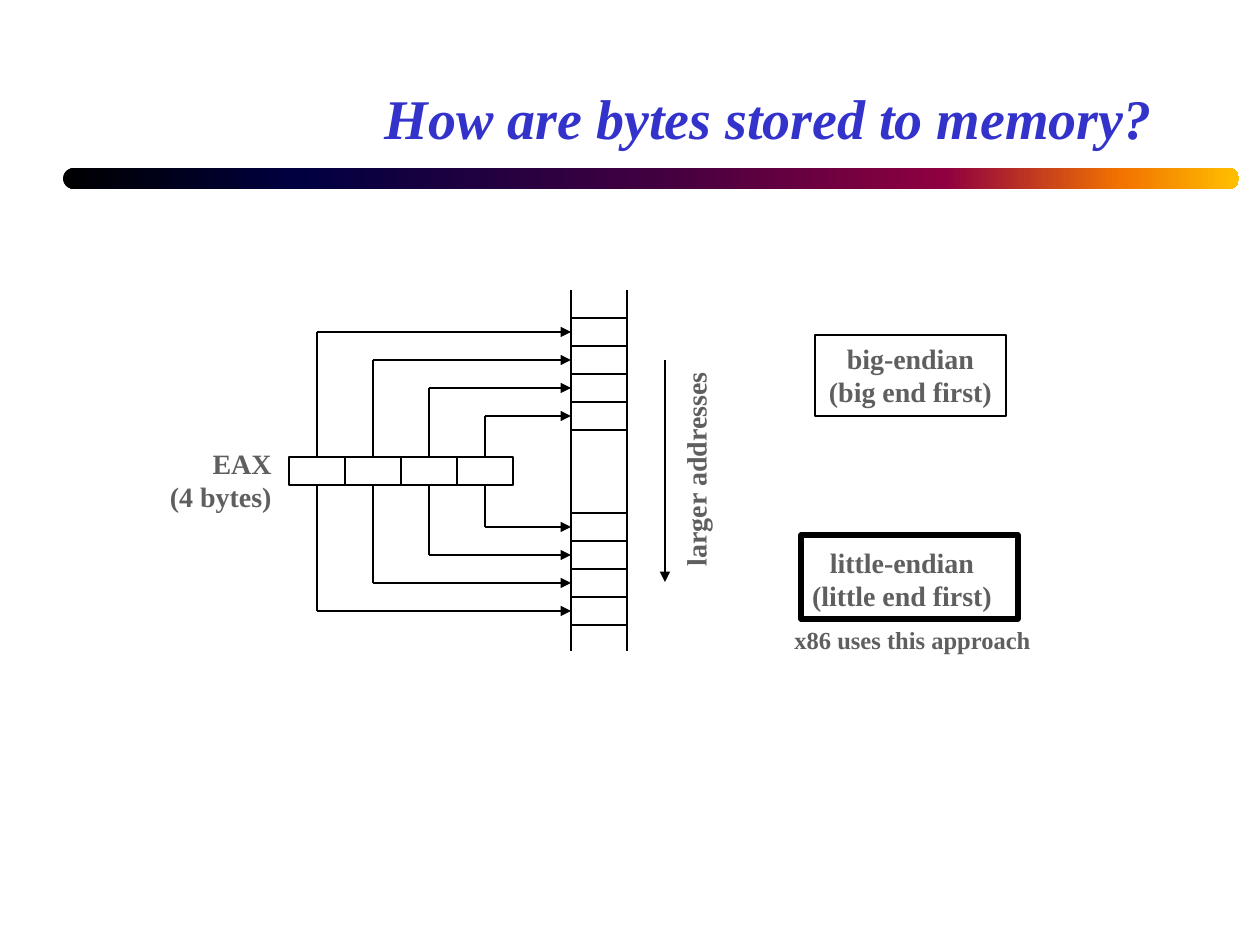
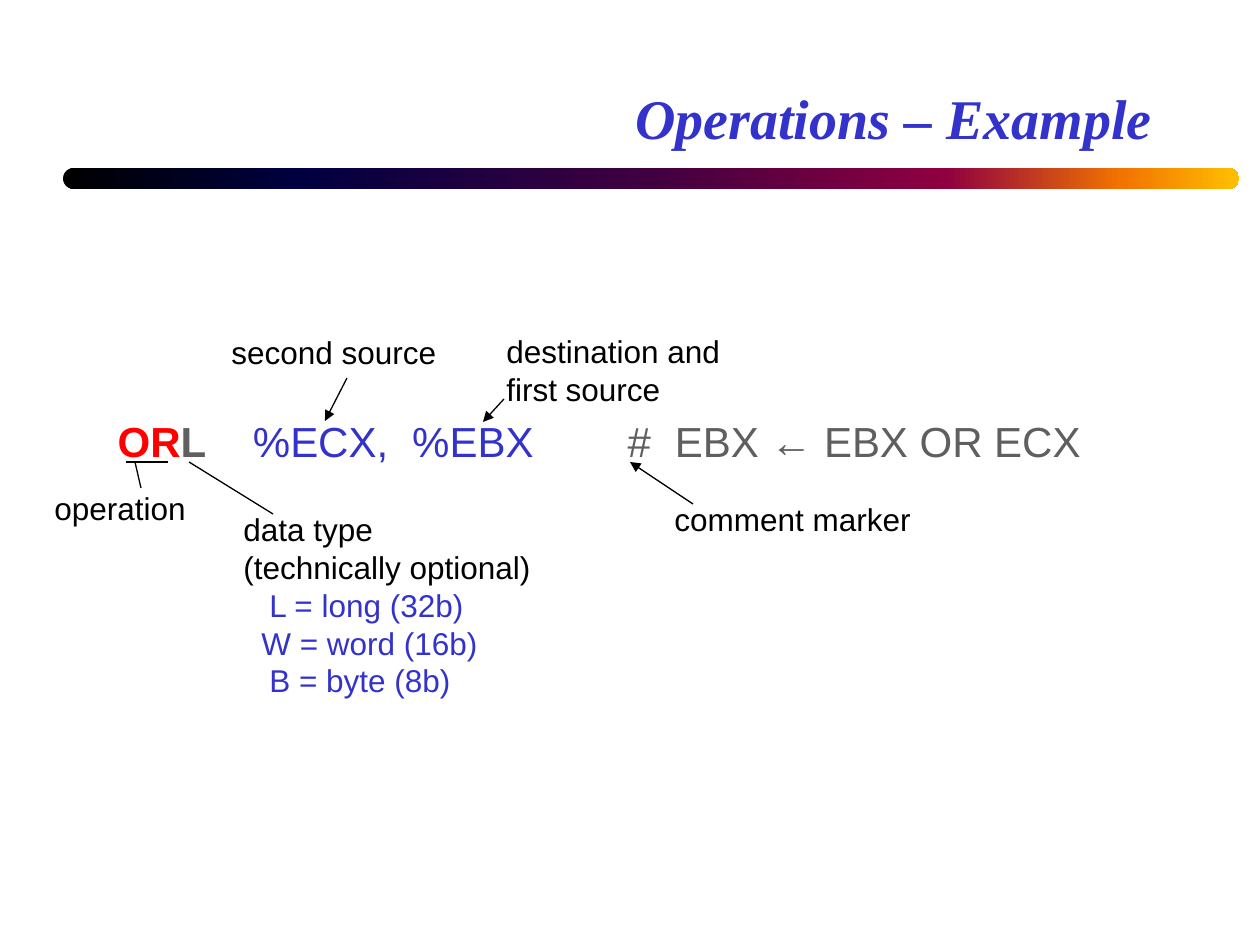
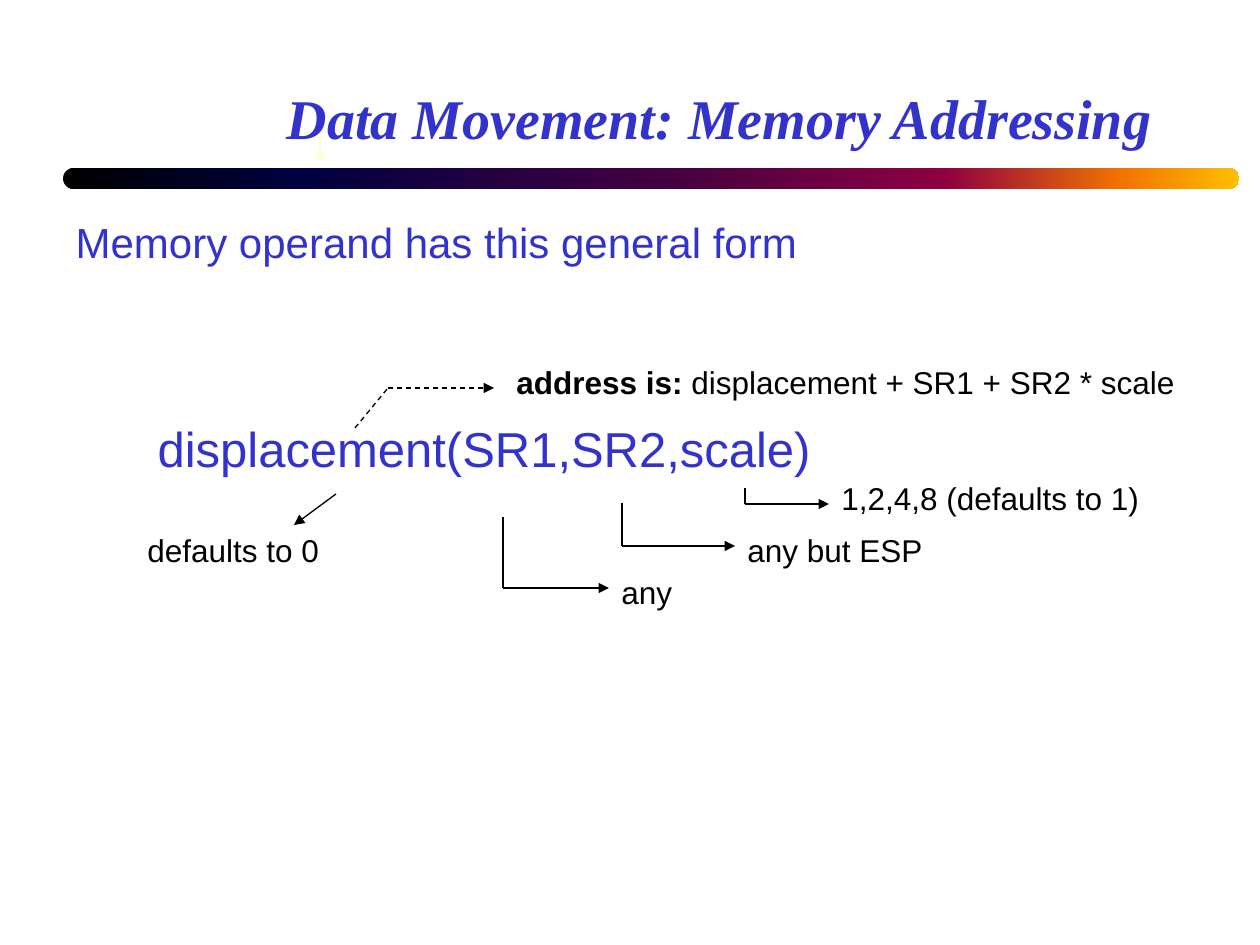
import itertools
import lxml.etree
import pptx
import pptx.dml.color
import pptx.enum.dml
import pptx.enum.shapes
import pptx.enum.text
import pptx.oxml.ns
import pptx.util

SCALE = 914400 / 126
qn = pptx.oxml.ns.qn
RGB = pptx.dml.color.RGBColor.from_string
ALIGN = pptx.enum.text.PP_ALIGN
AUTO = pptx.enum.text.MSO_AUTO_SIZE
SHAPE = pptx.enum.shapes.MSO_SHAPE


class Theme:
    blue, grey, red, black, cream = "3333CC", "5F5F5F", "FF0000", "000000", "FFFFCC"
    band = [(0, "000000"), (20, "000040"), (50, "400040"),
            (75, "8F0040"), (90, "F27300"), (100, "FFBF00")]
    sans, serif = "Arial", "Times New Roman"
    title, formula, body, label, diagram, note = 32, 28, 24, 18, 16, 14
    thin, thick = 0.75, 3


def write(s, paras, box, sp=None, wrap=False, align=ALIGN.LEFT, indents=(), spaces=(), **fmt):
    box = [round(v * SCALE) for v in box]
    placed = sp is not None
    sp = sp or s.shapes.add_textbox(*box)
    sp.left, sp.top, sp.width, sp.height = box
    tf = sp.text_frame
    tf.word_wrap = placed or wrap
    tf.auto_size = AUTO.NONE if placed else AUTO.SHAPE_TO_FIT_TEXT
    for i, para in enumerate(paras):
        p = tf.paragraphs[0] if i == 0 else tf.add_paragraph()
        p.alignment = align
        p.space_before = pptx.util.Pt(spaces[i] if spaces else 0)
        pPr = p._p.get_or_add_pPr()
        pPr.set("marL", str(round(indents[i] * SCALE) if indents else 0))
        pPr.set("indent", "0")
        lxml.etree.SubElement(pPr, qn("a:buNone"))
        for text, extra in [(para, {})] if isinstance(para, str) else para:
            look = {"font": Theme.sans, "size": Theme.label, "color": Theme.black,
                    "bold": False, "italic": False, "spacing": 0, **fmt, **extra}
            r = p.add_run()
            r.text = text
            r.font.name = look["font"]
            r.font.size = pptx.util.Pt(look["size"])
            r.font.bold, r.font.italic = look["bold"], look["italic"]
            r.font.color.rgb = RGB(look["color"])
            if look["spacing"]:
                r._r.get_or_add_rPr().set("spc", str(look["spacing"] * 100))
    return sp


def line(s, points, arrow=True, color=Theme.black, dash=False):
    for start, end in itertools.pairwise(points):
        c = s.shapes.add_connector(pptx.enum.shapes.MSO_CONNECTOR.STRAIGHT,
                                   *[round(v * SCALE) for v in (*start, *end)])
        c.line.width = pptx.util.Pt(Theme.thin)
        c.line.color.rgb = RGB(color)
        if dash:
            c.line.dash_style = pptx.enum.dml.MSO_LINE.DASH
        if arrow and end == points[-1]:
            lxml.etree.SubElement(c.element.spPr.find(qn("a:ln")), qn("a:tailEnd"), type="triangle")
        lxml.etree.SubElement(c.element.spPr, qn("a:effectLst"))


prs = pptx.Presentation()
prs.slide_width, prs.slide_height = round(1260 * SCALE), round(945 * SCALE)

slides = []
for title, layout in [("How are bytes stored to memory?", 5),
                      ("Operations – Example", 1),
                      ("Data Movement: Memory Addressing", 1)]:
    s = prs.slides.add_slide(prs.slide_layouts[layout])
    sp = write(s, [title], (94, 31, 1071, 126), sp=s.shapes.title, align=ALIGN.RIGHT,
               font=Theme.serif, size=Theme.title, color=Theme.blue, bold=True, italic=True)
    sp.text_frame.vertical_anchor = pptx.enum.text.MSO_ANCHOR.BOTTOM
    slides.append(s)
memory, operations, addressing = slides

band = memory.shapes.add_shape(SHAPE.ROUNDED_RECTANGLE,
                               *[round(v * SCALE) for v in (63, 168, 1176, 21)])
band.adjustments[0] = 0.5
band.shadow.inherit = False
band.line.fill.background()
band.fill.gradient()
band.fill.gradient_angle = 0
stops = band.element.spPr.find(".//" + qn("a:gsLst"))
stops.clear()
for pos, color in Theme.band:
    gs = lxml.etree.SubElement(stops, qn("a:gs"), pos=str(pos * 1000))
    lxml.etree.SubElement(gs, qn("a:srgbClr"), val=color)
prs.slide_master.element.cSld.spTree.insert(2, band.element)

s = memory
cell_w, cell_h = 56, 28
eax_x, eax_y, mem_x = 289, 457, 571
big_y, little_y = 318, 513
frames = [((801, 535, 217, 84), Theme.thick)]
for i in range(4):
    frames += [((x, y, cell_w, cell_h), Theme.thin) for x, y in
               [(eax_x + i * cell_w, eax_y), (mem_x, big_y + i * cell_h),
                (mem_x, little_y + i * cell_h)]]
for box, width in frames:
    sp = s.shapes.add_shape(SHAPE.RECTANGLE, *[round(v * SCALE) for v in box])
    sp.shadow.inherit = False
    sp.fill.background()
    sp.line.color.rgb = RGB(Theme.black)
    sp.line.width = pptx.util.Pt(width)

for x in (mem_x, mem_x + cell_w):
    line(s, [(x, 290), (x, 651)], arrow=False)
for i in range(4):
    x = eax_x + i * cell_w + cell_w // 2
    big = big_y + i * cell_h + cell_h // 2
    little = little_y + (3 - i) * cell_h + cell_h // 2
    line(s, [(x, eax_y), (x, big), (mem_x, big)])
    line(s, [(x, eax_y + cell_h), (x, little), (mem_x, little)])
line(s, [(665, 360), (665, 582)])

diagram = {"font": Theme.serif, "size": Theme.diagram, "color": Theme.grey, "bold": True}
write(s, ["EAX", "(4 bytes)"], (155, 440, 129, 81), align=ALIGN.RIGHT, **diagram)
write(s, ["larger addresses"], (585, 444, 222, 47), **diagram).rotation = 270
sp = write(s, ["big-endian", "(big end first)"], (815, 335, 191, 81), align=ALIGN.CENTER, **diagram)
sp.line.color.rgb = RGB(Theme.black)
sp.line.width = pptx.util.Pt(Theme.thin)
write(s, ["little-endian", "(little end first)"], (798, 539, 208, 81), align=ALIGN.CENTER, **diagram)
write(s, ["x86 uses this approach"], (782, 619, 391, 43), wrap=True,
      **{**diagram, "size": Theme.note})

s = operations
grey = {"color": Theme.grey}
narrow, medium, wide = [(" ", {"spacing": pts}) for pts in (7, 20, 47)]
write(s, [[("OR", {"color": Theme.red, "bold": True}), ("L", {**grey, "bold": True}), medium,
           ("%ECX,", {}), narrow, ("%EBX", {}), wide,
           ("#", grey), narrow, ("EBX ← EBX OR ECX", grey)]],
      (105, 409, 1134, 105), sp=s.placeholders[1], spaces=[2.4],
      size=Theme.body, color=Theme.blue)
for start, end in [((504, 399), (483, 422)), ((347, 378), (325, 421)), ((693, 504), (630, 462))]:
    line(s, [start, end])
for start, end in [((126, 462), (168, 462)), ((273, 514), (189, 462)), ((141, 488), (135, 462))]:
    line(s, [start, end], arrow=False)
write(s, ["destination and", "first source"], (494, 326, 239, 89))
write(s, ["second source"], (219, 327, 232, 50))
blue = {"color": Theme.blue}
write(s, ["data type", "(technically optional)", [("L = long (32b)", blue)],
          [("W = word (16b)", blue)], [("B = byte (8b)", blue)]],
      (231, 504, 315, 204), indents=(0, 0, 26, 18, 26))
write(s, ["comment marker"], (662, 494, 265, 50))
write(s, ["operation"], (42, 483, 157, 50))

s = addressing
line(s, [(397, 123), (320, 123), (320, 163)], color=Theme.cream)
s.element.cSld.spTree.append(s.shapes.title.element)
write(s, ["Memory operand has this general form",
          [("displacement(SR1,SR2,scale)", {"size": Theme.formula})]],
      (63, 210, 1103, 347), sp=s.placeholders[1], indents=(0, 82), spaces=(2.4, 87),
      size=Theme.body, color=Theme.blue)
line(s, [(745, 488), (745, 504), (829, 504)])
line(s, [(622, 503), (622, 546), (735, 546)])
line(s, [(503, 517), (503, 588), (609, 588)])
line(s, [(336, 494), (294, 525)])
line(s, [(355, 428), (388, 388), (494, 388)], dash=True)
write(s, ["1,2,4,8 (defaults to 1)"], (829, 473, 326, 50))
write(s, [[("address is: ", {"bold": True}), ("displacement + SR1 + SR2 * scale", {})]],
      (504, 357, 690, 50))
write(s, ["any but ESP"], (735, 525, 202, 50))
write(s, ["any"], (609, 567, 77, 50))
write(s, ["defaults to 0"], (135, 525, 199, 50))

prs.save("out.pptx")
